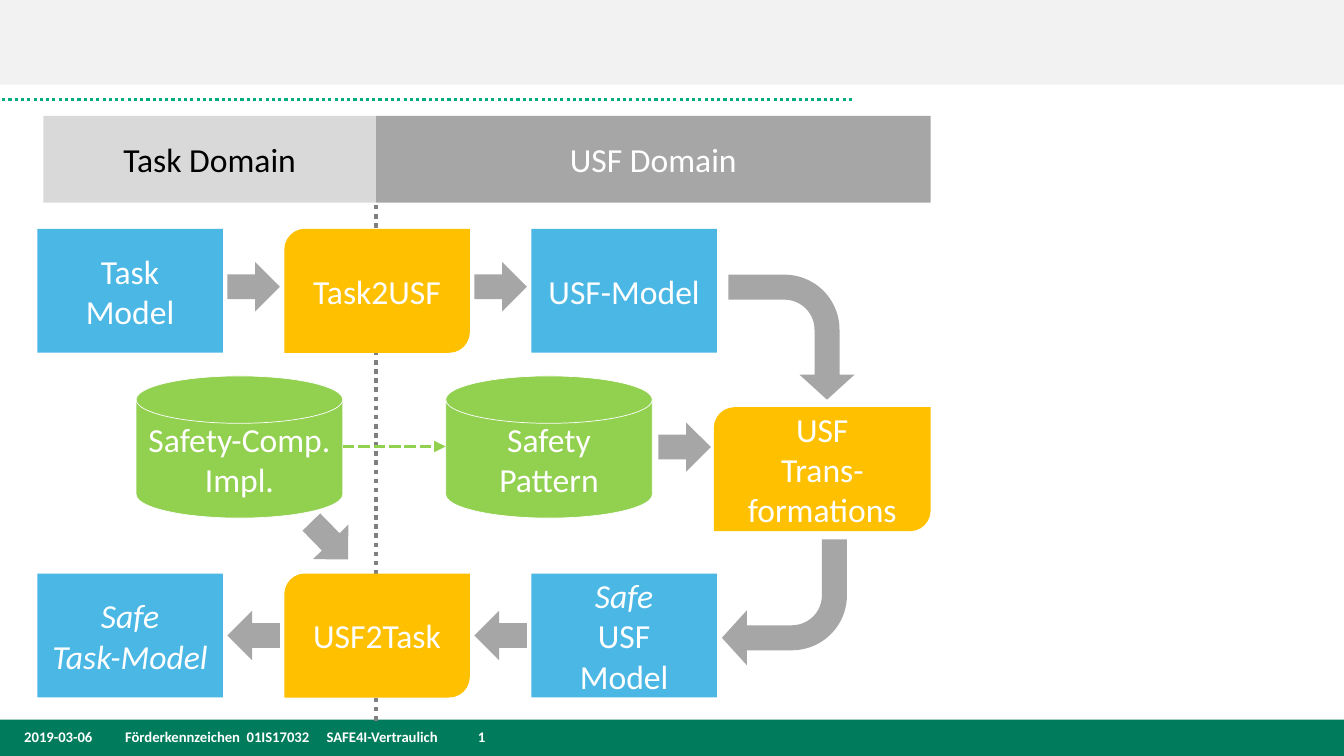
"""Build the slide on moving models between the task domain and the USF domain."""
from dataclasses import dataclass

from pptx import Presentation
from pptx.dml.color import RGBColor
from pptx.enum.dml import MSO_LINE
from pptx.enum.shapes import MSO_CONNECTOR, MSO_SHAPE
from pptx.enum.text import MSO_ANCHOR, PP_ALIGN
from pptx.oxml.ns import qn
from pptx.util import Inches, Pt
from lxml.etree import SubElement


@dataclass(frozen=True)
class Theme:
    font: str = "Calibri"
    body: float = 24
    small: float = 10.5
    white: str = "FFFFFF"
    black: str = "000000"
    band: str = "F2F2F2"
    rule: str = "00AD7F"
    footer: str = "007B5B"
    divider: str = "808080"
    grey: str = "A6A6A6"
    light: str = "D9D9D9"
    model: str = "4BB7E5"
    step: str = "FFC000"
    store: str = "92D050"


class Canvas:
    """Draw styled elements on a slide measured in 13.33 columns and 7.5 rows."""

    def __init__(self, prs, theme):
        self.theme = theme
        self.slide = prs.slides.add_slide(prs.slide_layouts[6])
        self.col = prs.slide_width / 13.33
        self.row = prs.slide_height / 7.5

    def place(self, x, y, w, h):
        return [round(v) for v in (x * self.col, y * self.row, w * self.col, h * self.row)]

    def style(self, p, size, color, bold=None, italic=None):
        for r in p.runs:
            r.font.name = self.theme.font
            r.font.size = Pt(size)
            r.font.color.rgb = RGBColor.from_string(color)
            r.font.bold = bold
            r.font.italic = italic

    def shape(self, kind, box, fill, text="", color=None, outline=None, italic=()):
        sp = self.slide.shapes.add_shape(kind, *self.place(*box))
        sp.shadow.inherit = False
        sp.fill.solid()
        sp.fill.fore_color.rgb = RGBColor.from_string(fill)
        if outline:
            sp.line.color.rgb = RGBColor.from_string(outline)
            sp.line.width = Pt(0.5)
        else:
            sp.line.fill.background()
        if text:
            tf = sp.text_frame
            tf.text = text
            tf.word_wrap = True
            tf.vertical_anchor = MSO_ANCHOR.MIDDLE
            for i, p in enumerate(tf.paragraphs):
                p.alignment = PP_ALIGN.CENTER
                self.style(p, self.theme.body, color or self.theme.white, italic=i in italic)
        return sp

    def arrow(self, kind, box, rotation=0, adjustments=()):
        sp = self.shape(kind, box, self.theme.grey)
        sp.rotation = rotation
        for i, value in enumerate(adjustments):
            sp.adjustments[i] = value

    def line(self, start, end, color, width, dash, head=False):
        x1, y1, x2, y2 = self.place(*start, *end)
        ln = self.slide.shapes.add_connector(MSO_CONNECTOR.STRAIGHT, x1, y1, x2, y2)
        ln.line.color.rgb = RGBColor.from_string(color)
        ln.line.width = Pt(width)
        ln.line.dash_style = dash
        if head:
            SubElement(ln.line._get_or_add_ln(), qn("a:tailEnd"), type="triangle")
        SubElement(ln._element.spPr, qn("a:effectLst"))

    def caption(self, box, text):
        tf = self.slide.shapes.add_textbox(*self.place(*box)).text_frame
        tf.word_wrap = True
        tf.margin_left = Inches(0.19)
        tf.text = text
        self.style(tf.paragraphs[0], self.theme.small, self.theme.white, bold=True)


def main():
    prs = Presentation()
    prs.slide_width, prs.slide_height = Inches(13.33), Inches(7.5)
    t = Theme()
    c = Canvas(prs, t)
    rect, step = MSO_SHAPE.RECTANGLE, MSO_SHAPE.ROUND_2_DIAG_RECTANGLE
    right, left = MSO_SHAPE.RIGHT_ARROW, MSO_SHAPE.LEFT_ARROW

    c.shape(rect, (0, 0, 13.33, 0.84), t.band)
    c.line((8.45, 0.99), (0, 0.99), t.rule, 2.25, MSO_LINE.ROUND_DOT)
    c.shape(rect, (0, 7.14, 13.33, 0.36), t.footer)
    c.caption((0.05, 7.17, 13.28, 0.28),
              "2019-03-06\tFörderkennzeichen  01IS17032\tSAFE4I-Vertraulich\t1")

    border, header_y, header_h = 3.73, 1.15, 0.86
    c.line((border, 1.58), (border, 7.16), t.divider, 3.25, MSO_LINE.ROUND_DOT)
    c.shape(rect, (border, header_y, 5.5, header_h), t.grey, "USF Domain")
    c.shape(rect, (0.43, header_y, 3.3, header_h), t.light, "Task Domain", t.black)

    x0, pitch, box_w, box_h = 0.37, 2.45, 1.84, 1.23
    arrow_w, arrow_h = 0.52, 0.49
    flows = [
        (2.27, 2.6, right, [("Task\nModel", ()), ("Task2USF", ()), ("USF-Model", ())]),
        (5.69, 6.06, left, [("Safe\nTask-Model", (0, 1)), ("USF2Task", ()),
                            ("Safe\nUSF\nModel", (0,))]),
    ]
    looks = [(rect, t.model), (step, t.step), (rect, t.model)]
    for y, arrow_y, arrow, boxes in flows:
        for i, ((kind, fill), (text, italic)) in enumerate(zip(looks, boxes)):
            x = x0 + i * pitch
            c.shape(kind, (x, y, box_w, box_h), fill, text, italic=italic)
            if i:
                gap = pitch - box_w
                c.arrow(arrow, (x - (gap + arrow_w) / 2, arrow_y, arrow_w, arrow_h))

    c.shape(step, (7.08, 4.04, 2.15, box_h), t.step, "USF\vTrans-formations")
    for x, y, rotation in [(7.23, 2.72, 90), (7.16, 5.35, 180)]:
        c.arrow(MSO_SHAPE.BENT_ARROW, (x, y, 1.24, 1.25), rotation, (0.2, 0.22, 0.2, 0.44))

    for x, text in [(4.42, "Safety Pattern"), (1.35, "Safety-Comp. Impl.")]:
        c.shape(MSO_SHAPE.FLOWCHART_MAGNETIC_DISK, (x, 3.73, 2.05, 1.41), t.store, text,
                outline=t.white)
    c.line((3.4, 4.43), (4.42, 4.43), t.store, 2.75, MSO_LINE.SQUARE_DOT, head=True)
    c.arrow(right, (6.53, 4.19, arrow_w, arrow_h))
    c.arrow(right, (3.01, 5.12, arrow_w, arrow_h), 45.6)

    prs.save("out.pptx")


main()
